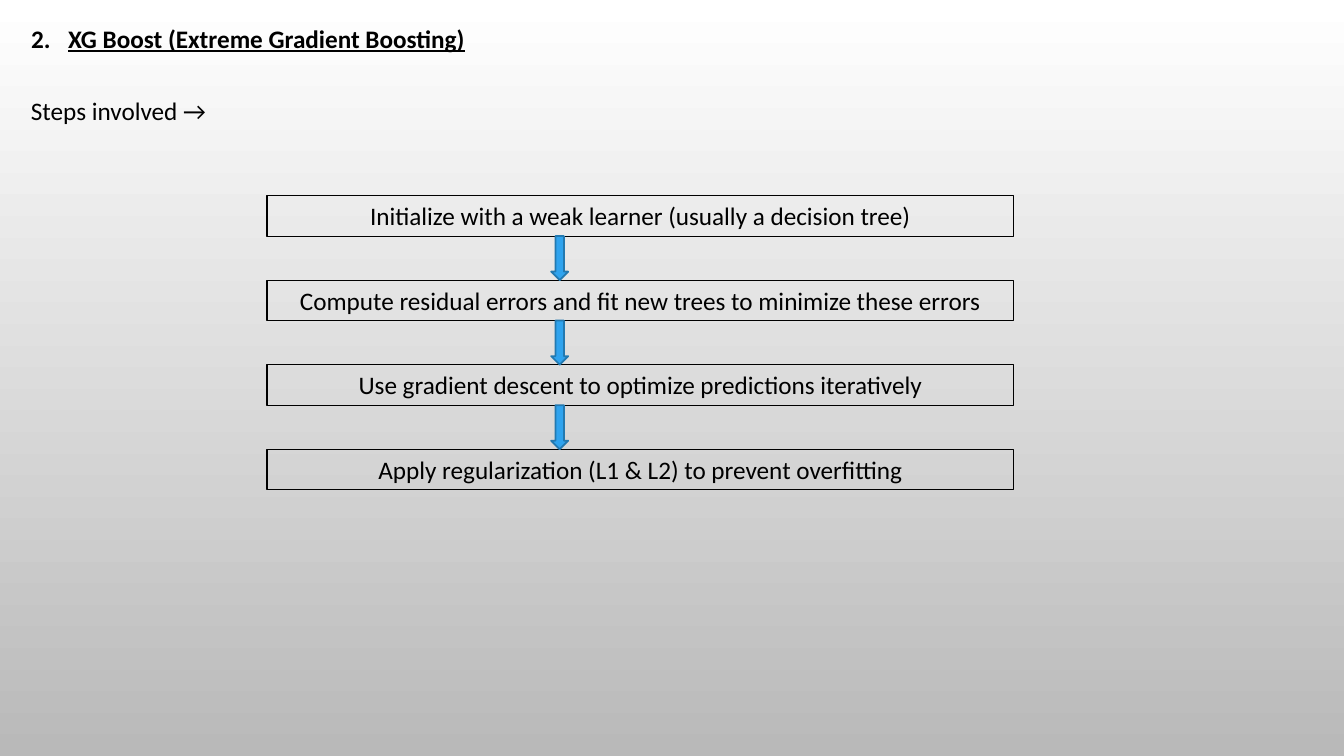
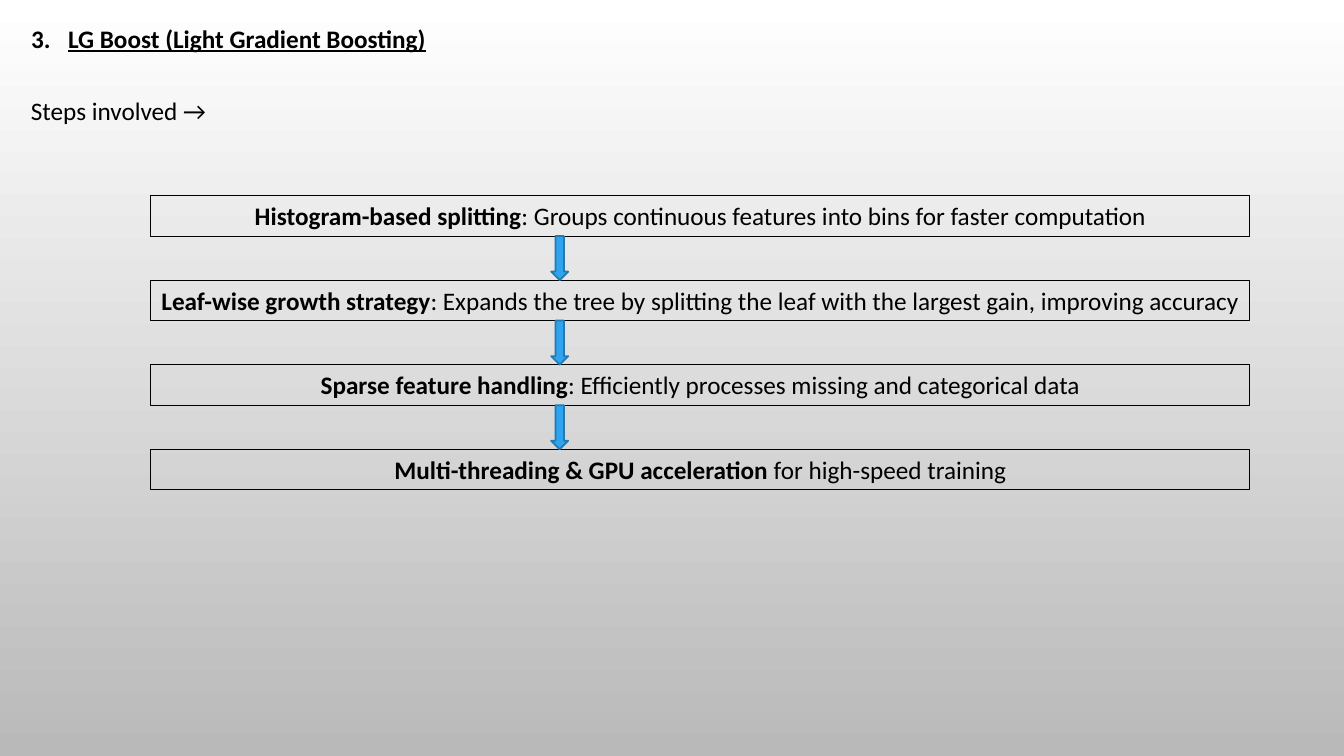
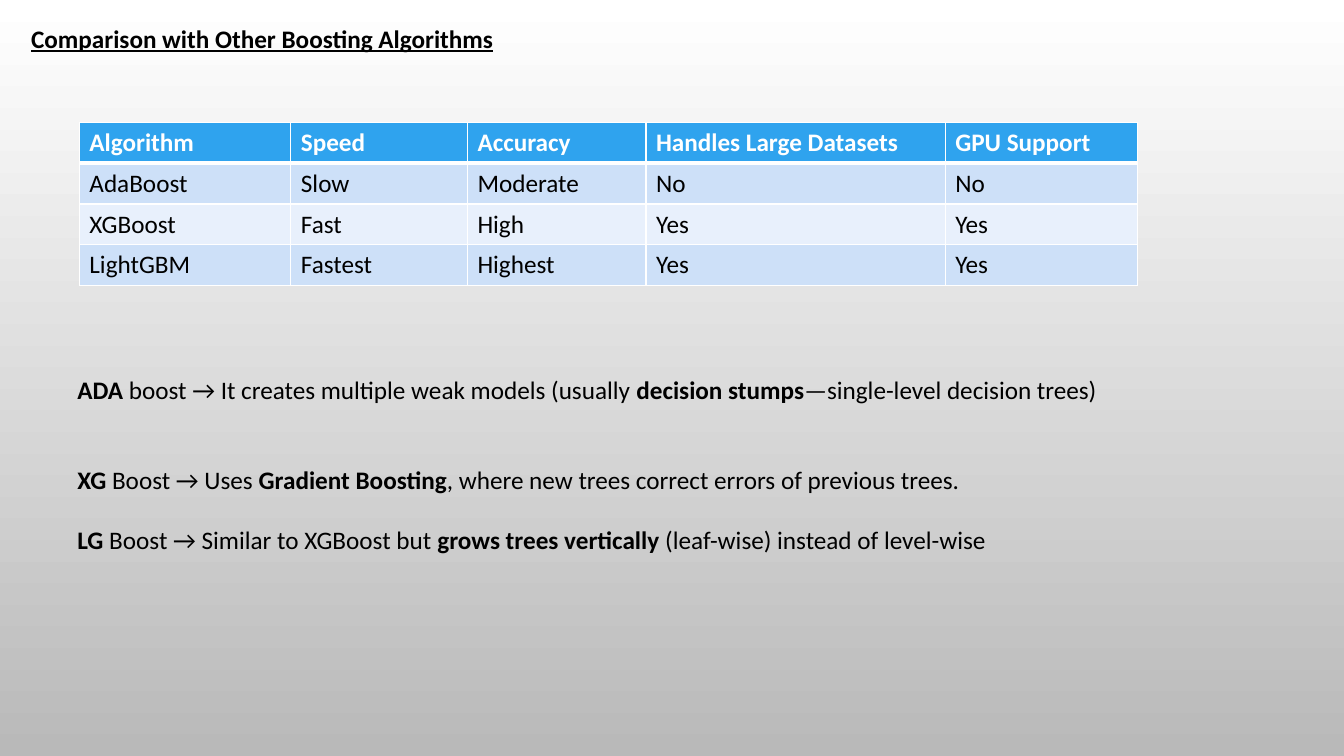
"""Build three slides on boosting algorithms: two step flows and a comparison."""
from dataclasses import dataclass

from lxml import etree
from pptx import Presentation
from pptx.dml.color import RGBColor
from pptx.enum.shapes import MSO_SHAPE
from pptx.enum.text import MSO_ANCHOR, MSO_AUTO_SIZE, PP_ALIGN
from pptx.oxml.ns import qn
from pptx.util import Cm, Pt

RECT, ARROW = MSO_SHAPE.RECTANGLE, MSO_SHAPE.DOWN_ARROW
TOP, MIDDLE = MSO_ANCHOR.TOP, MSO_ANCHOR.MIDDLE
LEFT, CENTER = PP_ALIGN.LEFT, PP_ALIGN.CENTER
NO_FIT = MSO_AUTO_SIZE.NONE


@dataclass(frozen=True)
class Theme:
    font: str = "Calibri"
    size: int = 18
    ink: str = "000000"
    white: str = "FFFFFF"
    grey: str = "B9B9B9"
    blue: str = "2FA3EE"
    edge: str = "2379B0"
    bands: tuple = ("CDE0F8", "E8F0FC")
    thin: float = 0.75
    rule: float = 1.25


THEME = Theme()

# Parts of a line alternate between bold and plain.
FLOWS = [
    {
        "number": "2.",
        "title": "XG Boost (Extreme Gradient Boosting)",
        "left": 6.73,
        "width": 18.82,
        "steps": [
            ("", "Initialize with a weak learner (usually a decision tree)"),
            ("", "Compute residual errors and fit new trees to minimize these errors"),
            ("", "Use gradient descent to optimize predictions iteratively"),
            ("", "Apply regularization (L1 & L2) to prevent overfitting"),
        ],
    },
    {
        "number": "3.",
        "title": "LG Boost (Light Gradient Boosting)",
        "left": 3.8,
        "width": 27.7,
        "steps": [
            ("Histogram-based splitting",
             ": Groups continuous features into bins for faster computation"),
            ("Leaf-wise growth strategy",
             ": Expands the tree by splitting the leaf with the largest gain, improving accuracy"),
            ("Sparse feature handling",
             ": Efficiently processes missing and categorical data"),
            ("Multi-threading & GPU acceleration", " for high-speed training"),
        ],
    },
]
LEAD = ("", "Steps involved →")
VERSUS = "Comparison with Other Boosting Algorithms"
ROWS = [
    ("Algorithm", "Speed", "Accuracy", "Handles Large Datasets", "GPU Support"),
    ("AdaBoost", "Slow", "Moderate", "No", "No"),
    ("XGBoost", "Fast", "High", "Yes", "Yes"),
    ("LightGBM", "Fastest", "Highest", "Yes", "Yes"),
]
WIDTHS = (5.33, 4.45, 4.5, 7.54, 4.85)
NOTES = [
    (0, ("ADA", " boost → It creates multiple weak models (usually ",
         "decision stumps", "—single-level decision trees)")),
    (43, ("XG ", "Boost → Uses ", "Gradient Boosting",
          ", where new trees correct errors of previous trees.")),
    (21.5, ("LG", " Boost → Similar to XGBoost but ",
            "grows trees vertically", " (leaf-wise) instead of level-wise")),
]

MARGIN, LINE = 0.53, 1.02
FLOW_TOP, GAP = 4.93, 1.11
ARROW_LEFT, ARROW_WIDTH = 13.89, 0.43
TAB = 0.93


def color(code):
    return RGBColor.from_string(code)


def style(para, ink=THEME.ink, bold=False, align=LEFT):
    font = para.font
    font.name, font.size, font.bold = THEME.font, Pt(THEME.size), bold
    font.color.rgb = color(ink)
    para.alignment = align


def write(para, parts, align=LEFT):
    style(para, align=align)
    for i, part in enumerate(parts):
        if part:
            run = para.add_run()
            run.text = part
            if i % 2 == 0:
                run.font.bold = True


def place(shape, left, top, width, height):
    shape.left, shape.top = Cm(left), Cm(top)
    shape.width, shape.height = Cm(width), Cm(height)


def add_slide(deck, title, number=""):
    slide = deck.slides.add_slide(deck.slide_layouts[5])
    head = slide.shapes.title
    place(head, MARGIN, 0.46, 33.3, LINE)
    frame = head.text_frame
    frame.vertical_anchor, frame.auto_size = TOP, NO_FIT
    para = frame.paragraphs[0]
    style(para, bold=True)
    if number:
        para.add_run().text = number + "\t"
        tabs = etree.Element(qn("a:tabLst"))
        etree.SubElement(tabs, qn("a:tab"), pos=str(Cm(TAB)), algn="l")
        props = para._p.get_or_add_pPr()
        props.find(qn("a:defRPr")).addprevious(tabs)
    run = para.add_run()
    run.text, run.font.underline = title, True
    return slide


def add_text(slide, left, top, width, height):
    frame = slide.shapes.add_textbox(Cm(left), Cm(top), Cm(width), Cm(height)).text_frame
    frame.word_wrap = True
    return frame


def add_block(slide, kind, spot, fill, line, weight):
    shape = slide.shapes.add_shape(kind, *map(Cm, spot))
    shape.shadow.inherit = False
    if fill:
        shape.fill.solid()
        shape.fill.fore_color.rgb = color(fill)
    else:
        shape.fill.background()
    shape.line.color.rgb, shape.line.width = color(line), Pt(weight)
    return shape


def add_flow(deck, flow):
    slide = add_slide(deck, flow["title"], flow["number"])
    write(add_text(slide, MARGIN, 2.29, 5.05, LINE).paragraphs[0], LEAD)
    tops = [FLOW_TOP + i * (LINE + GAP) for i in range(len(flow["steps"]))]
    for top, step in zip(tops, flow["steps"]):
        spot = flow["left"], top, flow["width"], LINE
        frame = add_block(slide, RECT, spot, None, THEME.ink, THEME.thin).text_frame
        frame.word_wrap, frame.vertical_anchor = False, MIDDLE
        write(frame.paragraphs[0], step, CENTER)
    for top in tops[:-1]:
        spot = ARROW_LEFT, top + LINE, ARROW_WIDTH, GAP
        add_block(slide, ARROW, spot, THEME.blue, THEME.edge, THEME.rule)


def set_edges(cell, top, bottom):
    props = cell._tc.get_or_add_tcPr()
    for side, weight in (("L", 1), ("R", 1), ("T", top), ("B", bottom)):
        line = etree.SubElement(props, qn("a:ln" + side), w=str(Pt(weight)))
        fill = etree.SubElement(line, qn("a:solidFill"))
        etree.SubElement(fill, qn("a:srgbClr"), val=THEME.white)


def add_grid(slide):
    grid = slide.shapes.add_table(len(ROWS), len(WIDTHS), Cm(2), Cm(3.08),
                                  Cm(sum(WIDTHS)), Cm(1.03 * len(ROWS))).table
    for col, width in zip(grid.columns, WIDTHS):
        col.width = Cm(width)
    for r, row in enumerate(ROWS):
        head = r == 0
        fill = THEME.blue if head else THEME.bands[(r - 1) % 2]
        for c, text in enumerate(row):
            cell = grid.cell(r, c)
            cell.text, cell.vertical_anchor = text, MIDDLE
            style(cell.text_frame.paragraphs[0],
                  THEME.white if head else THEME.ink, head)
            set_edges(cell, 3 if r == 1 else 1, 3 if head else 1)
            cell.fill.solid()
            cell.fill.fore_color.rgb = color(fill)


def add_notes(slide):
    frame = add_text(slide, 1.7, 9.3, 27.25, 4.88)
    for i, (space, parts) in enumerate(NOTES):
        para = frame.add_paragraph() if i else frame.paragraphs[0]
        write(para, parts)
        para.space_before = Pt(space)


def main():
    deck = Presentation()
    deck.slide_width, deck.slide_height = Cm(33.87), Cm(19.05)
    back = deck.slide_master.background.fill
    back.gradient()
    back.gradient_angle = 270
    for stop, code in zip(back.gradient_stops, (THEME.white, THEME.grey)):
        stop.color.rgb = color(code)
    for flow in FLOWS:
        add_flow(deck, flow)
    slide = add_slide(deck, VERSUS)
    add_grid(slide)
    add_notes(slide)
    deck.save("out.pptx")


if __name__ == "__main__":
    main()
